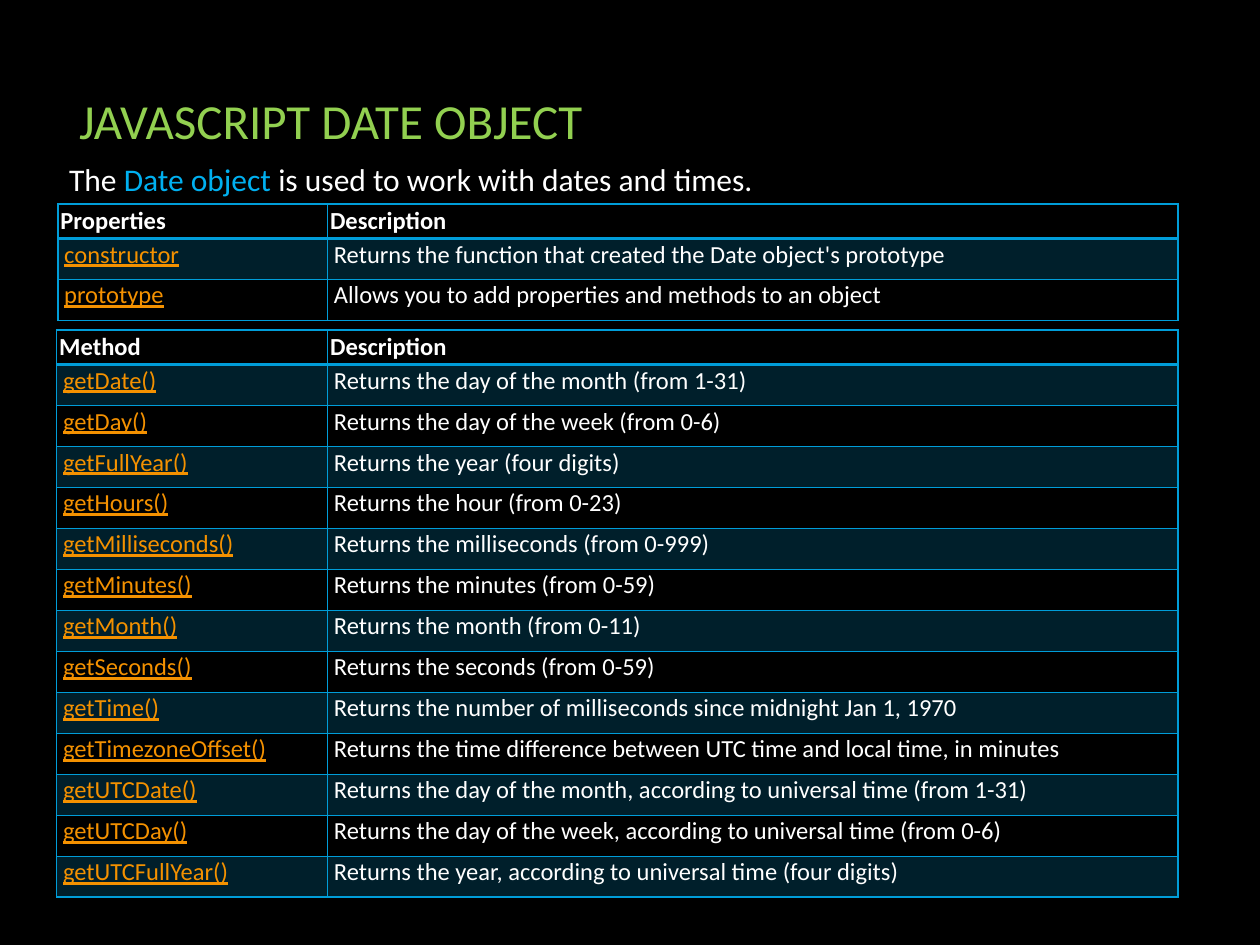
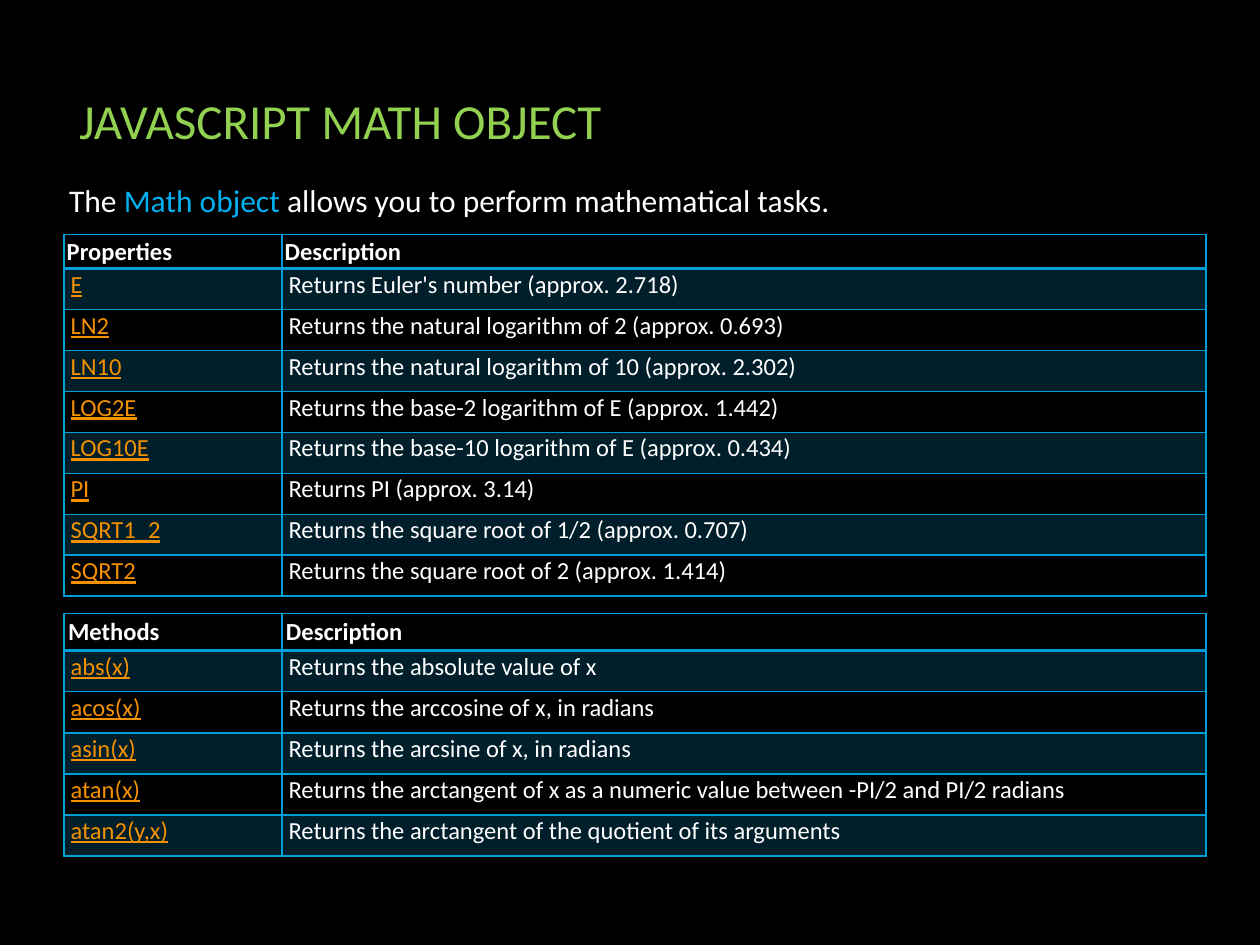
import pptx
import pptx.util
import pptx.dml.color
import pptx.enum.text
import pptx.oxml
import pptx.oxml.ns

Inches = pptx.util.Inches
Pt = pptx.util.Pt
RGB = pptx.dml.color.RGBColor
MIDDLE = pptx.enum.text.MSO_ANCHOR.MIDDLE
TOP = pptx.enum.text.MSO_ANCHOR.TOP

# Shared look
FONT = "Calibri"
BLACK = RGB(0x00, 0x00, 0x00)
WHITE = RGB(0xFF, 0xFF, 0xFF)
GREEN = RGB(0x92, 0xD0, 0x50)
SKY = RGB(0x00, 0xB0, 0xF0)
BLUE = RGB(0x00, 0x9D, 0xD9)
ORANGE = RGB(0xF4, 0x91, 0x00)

# Each table: place, columns, header height, header inset and anchor, rows
date_props = {
    "at": (0.46, 1.62, 0.92), "cols": (2.14, 6.75),
    "head": (0.27, 0.02, MIDDLE),
    "rows": [
        ("Properties", "Description"),
        ("constructor", "Returns the function that created the Date object's prototype"),
        ("prototype", "Allows you to add properties and methods to an object"),
    ],
}
date_calls = {
    "at": (0.45, 2.62, 4.5), "cols": (2.15, 6.75),
    "head": (0.27, 0.02, MIDDLE),
    "rows": [
        ("Method", "Description"),
        ("getDate()", "Returns the day of the month (from 1-31)"),
        ("getDay()", "Returns the day of the week (from 0-6)"),
        ("getFullYear()", "Returns the year (four digits)"),
        ("getHours()", "Returns the hour (from 0-23)"),
        ("getMilliseconds()", "Returns the milliseconds (from 0-999)"),
        ("getMinutes()", "Returns the minutes (from 0-59)"),
        ("getMonth()", "Returns the month (from 0-11)"),
        ("getSeconds()", "Returns the seconds (from 0-59)"),
        ("getTime()", "Returns the number of milliseconds since midnight Jan 1, 1970"),
        ("getTimezoneOffset()",
         "Returns the time difference between UTC time and local time, in minutes"),
        ("getUTCDate()",
         "Returns the day of the month, according to universal time (from 1-31)"),
        ("getUTCDay()",
         "Returns the day of the week, according to universal time (from 0-6)"),
        ("getUTCFullYear()",
         "Returns the year, according to universal time (four digits)"),
    ],
}
math_props = {
    "at": (0.51, 1.86, 2.87), "cols": (1.73, 7.33),
    "head": (0.27, 0.02, MIDDLE),
    "rows": [
        ("Properties", "Description"),
        ("E", "Returns Euler's number (approx. 2.718)"),
        ("LN2", "Returns the natural logarithm of 2 (approx. 0.693)"),
        ("LN10", "Returns the natural logarithm of 10 (approx. 2.302)"),
        ("LOG2E", "Returns the base-2 logarithm of E (approx. 1.442)"),
        ("LOG10E", "Returns the base-10 logarithm of E (approx. 0.434)"),
        ("PI", "Returns PI (approx. 3.14)"),
        ("SQRT1_2", "Returns the square root of 1/2 (approx. 0.707)"),
        ("SQRT2", "Returns the square root of 2 (approx. 1.414)"),
    ],
}
math_calls = {
    "at": (0.51, 4.87, 1.92), "cols": (1.73, 7.33),
    "head": (0.29, 0.03, TOP),
    "rows": [
        ("Methods", "Description"),
        ("abs(x)", "Returns the absolute value of x"),
        ("acos(x)", "Returns the arccosine of x, in radians"),
        ("asin(x)", "Returns the arcsine of x, in radians"),
        ("atan(x)",
         "Returns the arctangent of x as a numeric value between -PI/2 and PI/2 radians"),
        ("atan2(y,x)", "Returns the arctangent of the quotient of its arguments"),
    ],
}
pages = [
    ("JAVASCRIPT\u00a0DATE\u00a0OBJECT", 1.22,
     ("The ", "Date object", " is used to work with dates and times."),
     (date_props, date_calls)),
    ("JAVASCRIPT\u00a0MATH\u00a0OBJECT", 1.39,
     ("The ", "Math object ", "allows you to perform mathematical tasks."),
     (math_props, math_calls)),
]


def add_text(slide, place, size, parts):
    """Add a one-line text box made of (text, colour) parts."""
    box = slide.shapes.add_textbox(*[Inches(n) for n in place])
    frame = box.text_frame
    frame.word_wrap = True
    for text, color in parts:
        run = frame.paragraphs[0].add_run()
        run.text = text
        run.font.name = FONT
        run.font.size = Pt(size)
        run.font.color.rgb = color
    return frame


def add_edges(cell, first, second):
    """Draw the cell's borders; the rule under the header is thicker."""
    props = cell._tc.get_or_add_tcPr()
    widths = {"L": 1, "R": 1, "T": 2 if second else 1, "B": 2 if first else 1}
    for spot, (side, width) in enumerate(widths.items()):
        props.insert(spot, pptx.oxml.parse_xml(
            f'<a:ln{side} {pptx.oxml.ns.nsdecls("a")} w="{Pt(width)}">'
            f'<a:solidFill><a:srgbClr val="{BLUE}"/></a:solidFill></a:ln{side}>'))


deck = pptx.Presentation()
deck.slide_width = Inches(10)
deck.slide_height = Inches(7.5)

for title, top, intro, tables in pages:
    slide = deck.slides.add_slide(deck.slide_layouts[6])
    slide.background.fill.solid()
    slide.background.fill.fore_color.rgb = BLACK

    # Title and opening line
    frame = add_text(slide, (0.53, 0.6, 8.95, 0.71), 28, [(title, GREEN)])
    frame.vertical_anchor = MIDDLE
    add_text(slide, (0.45, top, 8.9, 0.4), 18, zip(intro, (WHITE, SKY, WHITE)))

    # Tables
    for data in tables:
        left, above, height = data["at"]
        tall, inset, anchor = data["head"]
        rows = data["rows"]
        grid = slide.shapes.add_table(
            len(rows), 2, Inches(left), Inches(above),
            Inches(sum(data["cols"])), Inches(height)).table
        grid.first_row = False
        grid.horz_banding = False
        for col, width in zip(grid.columns, data["cols"]):
            col.width = Inches(width)
        step = (height - tall) / (len(rows) - 1)

        for r, row in enumerate(rows):
            head = r == 0
            grid.rows[r].height = Inches(tall if head else step)
            for c, text in enumerate(row):
                cell = grid.cell(r, c)
                cell.vertical_anchor = anchor if head else TOP
                cell.margin_left = cell.margin_right = Inches(inset if head else 0.05)
                cell.margin_top = cell.margin_bottom = Inches(inset if head else 0.07)

                # Odd rows carry a faint blue tint
                if r % 2:
                    cell.fill.solid()
                    cell.fill.fore_color.rgb = BLUE
                    tint = cell._tc.tcPr.find(".//" + pptx.oxml.ns.qn("a:srgbClr"))
                    tint.append(pptx.oxml.parse_xml(
                        f'<a:alpha {pptx.oxml.ns.nsdecls("a")} val="20000"/>'))
                else:
                    cell.fill.background()
                add_edges(cell, head, r == 1)

                # Names below the header are underlined in orange
                name = c == 0 and not head
                para = cell.text_frame.paragraphs[0]
                para.text = text
                if not head:
                    para.line_spacing = Pt(12.7)
                font = para.runs[0].font
                font.name = FONT
                font.size = Pt(14)
                font.bold = head
                font.underline = name
                font.color.rgb = ORANGE if name else WHITE

deck.save("out.pptx")
